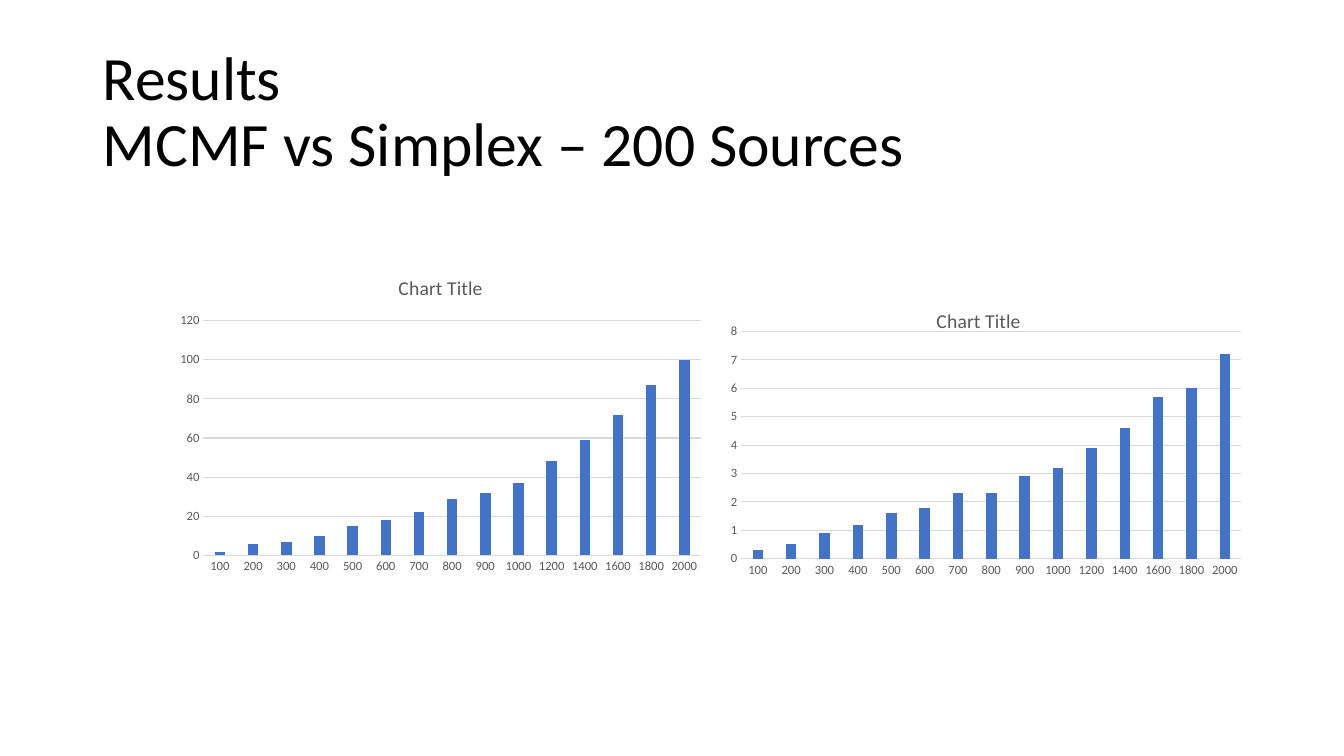
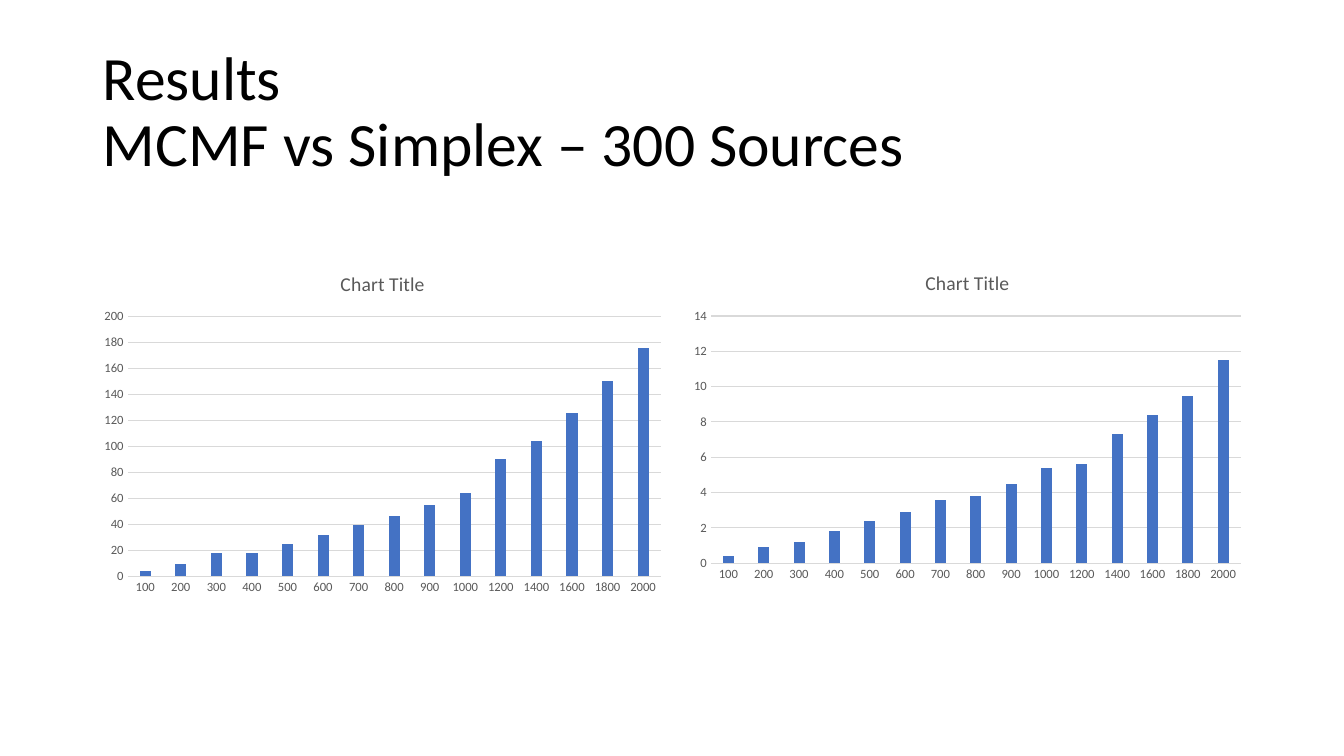
from dataclasses import dataclass
from typing import Optional

from lxml import etree
from pptx import Presentation
from pptx.chart.data import CategoryChartData
from pptx.dml.color import RGBColor
from pptx.enum import chart as ch, text
from pptx.oxml import ns
from pptx.util import Inches, Pt

COLORS = {"title": "000000", "label": "595959", "rule": "D9D9D9", "bar": "4472C4"}
FONT = "Calibri"
NODES = [*range(100, 1001, 100), *range(1200, 2001, 200)]


@dataclass(frozen=True)
class TimingChart:
    box: tuple[float, float, float, float]
    values: list[float]
    axis_max: float
    axis_step: float
    title_layout: Optional[dict[str, float]] = None
    plot_layout: Optional[dict[str, float]] = None


@dataclass(frozen=True)
class ResultSlide:
    sources: int
    charts: list[TimingChart]


RESULTS = [
    ResultSlide(200, [
        TimingChart((1.68, 2.57, 5.38, 3.19),
                    [2, 6, 7, 10, 15, 18, 22, 29, 32, 37, 48, 59, 72, 87, 100], 120, 20),
        TimingChart((7.14, 2.67, 5.28, 3.09),
                    [0.3, 0.5, 0.9, 1.2, 1.6, 1.8, 2.3, 2.3, 2.9, 3.2, 3.9, 4.6, 5.7, 6, 7.2],
                    8, 1, {"x": 0.4, "y": 0.11},
                    {"x": 0.04, "y": 0.2, "w": 0.94, "h": 0.73}),
    ]),
    ResultSlide(300, [
        TimingChart((0.92, 2.52, 5.75, 3.45),
                    [4, 9, 18, 18, 25, 32, 39, 46, 55, 64, 90, 104, 126, 150, 176], 200, 20),
        TimingChart((6.77, 2.52, 5.65, 3.32),
                    [0.4, 0.9, 1.2, 1.8, 2.4, 2.9, 3.6, 3.8, 4.5, 5.4, 5.6, 7.3, 8.4, 9.5, 11.5],
                    14, 2),
    ]),
]


def rgb(name: str) -> RGBColor:
    return RGBColor.from_string(COLORS[name])


def style_font(font, size: float, color: str) -> None:
    font.name, font.size, font.bold = FONT, Pt(size), False
    font.color.rgb = rgb(color)


def style_rule(line) -> None:
    line.color.rgb = rgb("rule")
    line.width = Pt(0.75)


def set_layout(parent, position: int, fractions: dict[str, float]) -> None:
    """Place a chart part by fractions of the chart's size."""
    for old in parent.findall(ns.qn("c:layout")):
        parent.remove(old)
    layout = etree.Element(ns.qn("c:layout"))
    manual = etree.SubElement(layout, ns.qn("c:manualLayout"))
    settings = {"xMode": "edge", "yMode": "edge", **fractions}
    if "w" in fractions:
        settings = {"layoutTarget": "inner", **settings}
    for key, value in settings.items():
        etree.SubElement(manual, ns.qn(f"c:{key}")).set("val", str(value))
    parent.insert(position, layout)


def add_title(slide, sources: int) -> None:
    box = slide.shapes.add_textbox(Inches(0.92), Inches(0.4), Inches(11.5), Inches(1.45))
    frame = box.text_frame
    frame.word_wrap = True
    frame.vertical_anchor = text.MSO_ANCHOR.MIDDLE
    paragraph = frame.paragraphs[0]
    paragraph.line_spacing = 0.9
    style_font(paragraph.font, 44, "title")
    for index, line in enumerate(("Results", f"MCMF vs Simplex – {sources} Sources")):
        if index:
            paragraph.add_line_break()
        run = paragraph.add_run()
        run.text = line
        style_font(run.font, 44, "title")


def add_timing_chart(slide, timing: TimingChart) -> None:
    data = CategoryChartData()
    data.categories = [str(count) for count in NODES]
    data.add_series("Series 1", timing.values)
    chart = slide.shapes.add_chart(
        ch.XL_CHART_TYPE.COLUMN_CLUSTERED, *map(Inches, timing.box), data).chart
    style_font(chart.font, 10, "title")
    chart.has_legend = False

    chart.has_title = True
    heading = chart.chart_title.text_frame.paragraphs[0].add_run()
    heading.text = "Chart Title"
    style_font(heading.font, 14, "label")

    plot = chart.plots[0]
    plot.gap_width, plot.overlap, plot.vary_by_categories = 219, -27, False
    bars = plot.series[0].format.fill
    bars.solid()
    bars.fore_color.rgb = rgb("bar")

    for axis in (chart.category_axis, chart.value_axis):
        axis.major_tick_mark = axis.minor_tick_mark = ch.XL_TICK_MARK.NONE
        style_font(axis.tick_labels.font, 9, "label")
    style_rule(chart.category_axis.format.line)
    values = chart.value_axis
    values.format.line.fill.background()
    values.minimum_scale, values.maximum_scale = 0, timing.axis_max
    values.major_unit = timing.axis_step
    values.has_major_gridlines = True
    style_rule(values.major_gridlines.format.line)

    if timing.title_layout:
        set_layout(chart.chart_title.element, 1, timing.title_layout)
    if timing.plot_layout:
        set_layout(chart.element.find(f".//{ns.qn('c:plotArea')}"), 0, timing.plot_layout)


def main() -> None:
    deck = Presentation()
    deck.slide_width, deck.slide_height = Inches(13.33), Inches(7.5)
    blank = deck.slide_layouts[6]
    for result in RESULTS:
        slide = deck.slides.add_slide(blank)
        add_title(slide, result.sources)
        for timing in result.charts:
            add_timing_chart(slide, timing)
    deck.save("out.pptx")


if __name__ == "__main__":
    main()
